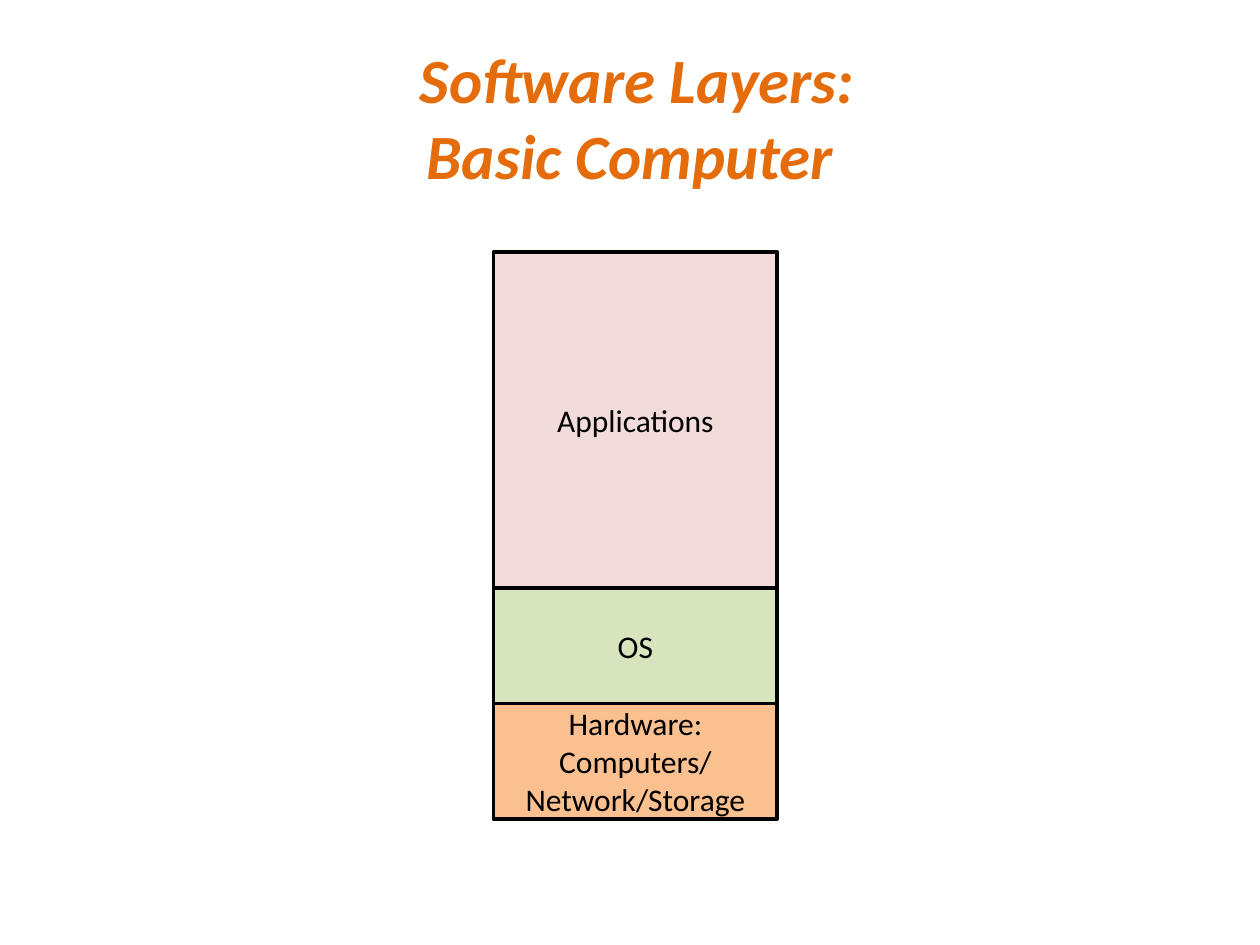
from pptx import Presentation
from pptx import util as u
from pptx.dml import color
from pptx.enum import shapes, text


def rgb(value):
    return color.RGBColor.from_string(value)


def add_lines(paragraph, lines, size, hex_color, bold=False, italic=False):
    paragraph.alignment = text.PP_ALIGN.CENTER
    for index, line in enumerate(lines):
        if index:
            paragraph.add_line_break()
        run = paragraph.add_run()
        run.text = line
        run.font.name = "Calibri"
        run.font.size = u.Pt(size)
        run.font.bold = bold
        run.font.italic = italic
        run.font.color.rgb = rgb(hex_color)


presentation = Presentation()
presentation.slide_width = u.Cm(25.4)
presentation.slide_height = u.Cm(19.05)
slide = presentation.slides.add_slide(presentation.slide_layouts[6])

# Title
title = slide.shapes.add_textbox(u.Cm(1.27), u.Cm(0.76), u.Cm(22.86), u.Cm(3.18))
title.text_frame.word_wrap = True
title.text_frame.vertical_anchor = text.MSO_ANCHOR.MIDDLE
add_lines(title.text_frame.paragraphs[0], [" Software Layers:", "Basic Computer"],
          36, "E46C0A", bold=True, italic=True)

# Layer stack, from the hardware upwards: height, fill, paragraphs
layers = [
    (2.33, "FAC090", ["Hardware: Computers/", "Network/Storage"]),
    (2.33, "D7E4BD", ["OS"]),
    (6.77, "F2DCDB", ["Applications"]),
]
bottom = 16.51
for height, fill, labels in layers:
    bottom -= height
    layer = slide.shapes.add_shape(shapes.MSO_SHAPE.RECTANGLE, u.Cm(9.95), u.Cm(bottom),
                                   u.Cm(5.72), u.Cm(height))
    layer.shadow.inherit = False
    layer.fill.solid()
    layer.fill.fore_color.rgb = rgb(fill)
    layer.line.color.rgb = rgb("000000")
    layer.line.width = u.Pt(2)
    frame = layer.text_frame
    frame.word_wrap = True
    frame.vertical_anchor = text.MSO_ANCHOR.MIDDLE
    for index, label in enumerate(labels):
        paragraph = frame.add_paragraph() if index else frame.paragraphs[0]
        add_lines(paragraph, [label], 18, "000000")

presentation.save("out.pptx")
